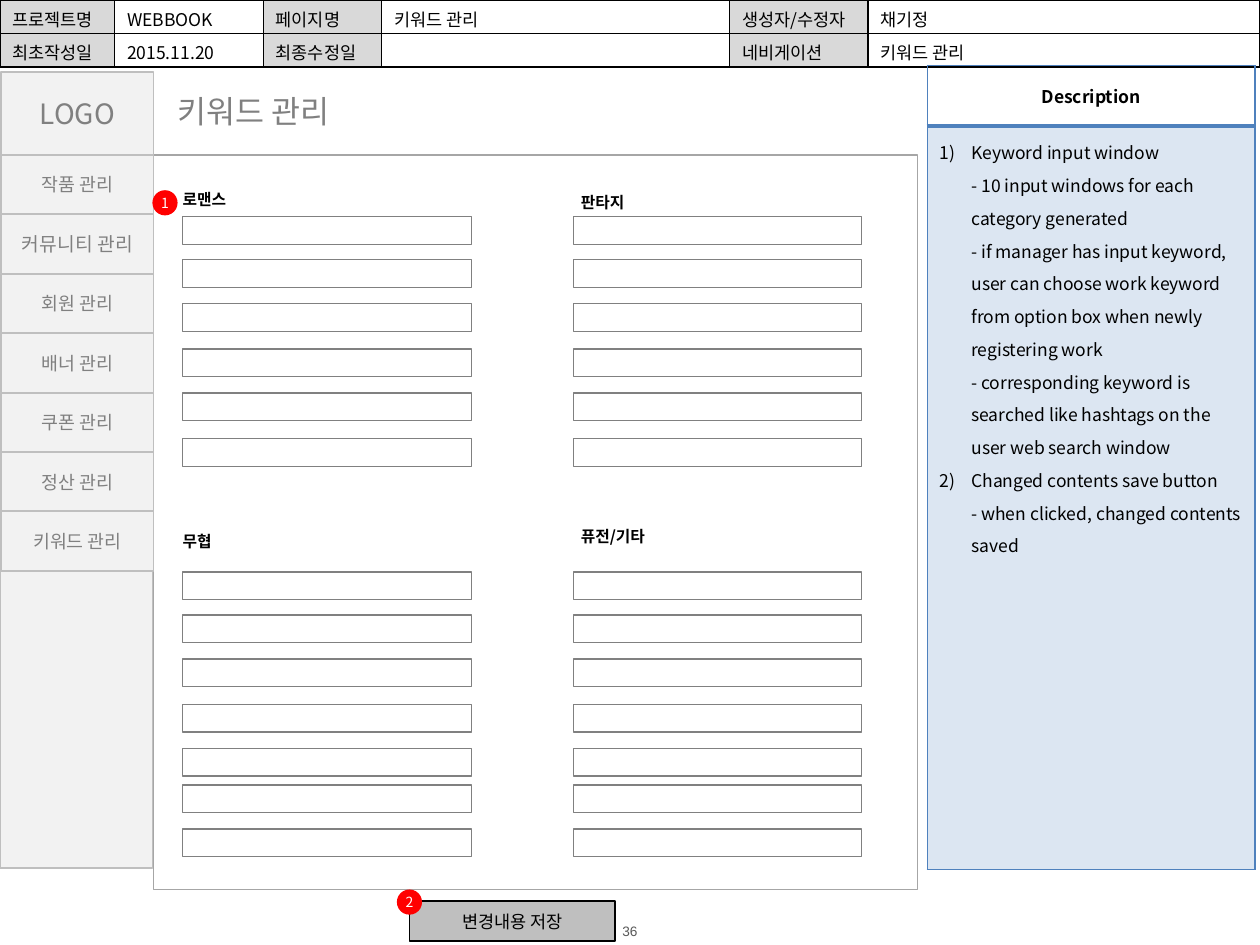
import dataclasses

import lxml.etree
import pptx
import pptx.dml.color
import pptx.enum.shapes
import pptx.enum.text
import pptx.oxml.ns
import pptx.util

Inches = pptx.util.Inches
Pt = pptx.util.Pt
Align = pptx.enum.text.PP_ALIGN
Anchor = pptx.enum.text.MSO_ANCHOR
Kind = pptx.enum.shapes.MSO_SHAPE
qn = pptx.oxml.ns.qn


@dataclasses.dataclass(frozen=True)
class Theme:
    font: str = "Noto Sans CJK KR"
    plain: str = "Arial"
    black: str = "000000"
    white: str = "FFFFFF"
    text: str = "808080"
    page: str = "595959"
    head: str = "D9D9D9"
    menu: str = "F2F2F2"
    edge: str = "BFBFBF"
    frame: str = "A6A6A6"
    blue: str = "4F81BD"
    pale: str = "DCE6F2"
    red: str = "FF0000"
    title: float = 18
    logo: float = 16
    wide: float = 11
    item: float = 10.5
    body: float = 10
    label: float = 9
    badge: float = 8
    foot: float = 7.8


class Sheet:
    """Holds the theme and the current slide, and draws each kind of element."""

    def __init__(self, theme, slide):
        self.theme = theme
        self.slide = slide

    def run(self, para, text, size, color, bold=False, font=None):
        run = para.add_run()
        run.text = text
        run.font.size = Pt(size)
        run.font.bold = bold
        run.font.name = font or self.theme.font
        run.font.color.rgb = pptx.dml.color.RGBColor.from_string(color)
        east = lxml.etree.SubElement(run._r.get_or_add_rPr(), qn("a:ea"))
        east.set("typeface", font or self.theme.font)

    def paint(self, fill, color):
        if color:
            fill.solid()
            fill.fore_color.rgb = pptx.dml.color.RGBColor.from_string(color)
        else:
            fill.background()

    def inset(self, frame, side, top):
        frame.margin_left = frame.margin_right = Inches(side)
        frame.margin_top = frame.margin_bottom = Inches(top)

    def title(self, text, box):
        shape = self.slide.shapes.title
        shape.left, shape.top, shape.width, shape.height = map(Inches, box)
        frame = shape.text_frame
        frame.word_wrap = False
        frame.auto_size = pptx.enum.text.MSO_AUTO_SIZE.NONE
        frame.vertical_anchor = Anchor.TOP
        para = frame.paragraphs[0]
        para.alignment = Align.LEFT
        self.run(para, text, self.theme.title, self.theme.text)

    def note(self, text, box):
        frame = self.slide.shapes.add_textbox(*map(Inches, box)).text_frame
        frame.word_wrap = True
        frame.vertical_anchor = Anchor.MIDDLE
        self.inset(frame, 0, 0)
        para = frame.paragraphs[0]
        para.alignment = Align.CENTER
        self.run(para, text, self.theme.foot, self.theme.page, font=self.theme.plain)

    def shape(self, box, fill=None, line=None, width=1, kind=Kind.RECTANGLE):
        shape = self.slide.shapes.add_shape(kind, *map(Inches, box))
        shape.shadow.inherit = False
        self.paint(shape.fill, fill)
        self.paint(shape.line.fill, line)
        if line:
            shape.line.width = Pt(width)
        return shape

    def letter(self, shape, text, size, color, bold=False, align=Align.CENTER):
        frame = shape.text_frame
        frame.vertical_anchor = Anchor.MIDDLE
        para = frame.paragraphs[0]
        para.alignment = align
        self.run(para, text, size, color, bold)

    def menu(self, text, top, high, size):
        box = self.shape((0.01, top, 1.21, high), self.theme.menu, self.theme.edge)
        self.letter(box, text, size, self.theme.text)

    def label(self, text, left, top, width):
        box = self.shape((left, top, width, 0.23), self.theme.white)
        self.inset(box.text_frame, 0, 0.04)
        self.letter(box, text, self.theme.label, self.theme.black, True, Align.LEFT)

    def badge(self, text, left, top):
        box = self.shape((left, top, 0.2, 0.2), self.theme.red, kind=Kind.OVAL)
        self.inset(box.text_frame, 0, 0)
        self.letter(box, text, self.theme.badge, self.theme.white)

    def table(self, box, rows, widths):
        grid = self.slide.shapes.add_table(rows, len(widths), *map(Inches, box)).table
        grid.first_row = grid.horz_banding = False
        for column, width in zip(grid.columns, widths):
            column.width = Inches(width)
        return grid

    def cell(self, cell, fill, color, base=1):
        self.paint(cell.fill, fill)
        props = cell._tc.get_or_add_tcPr()
        for spot, (side, width) in enumerate(zip("LRTB", (1, 1, 1, base))):
            line = lxml.etree.Element(qn("a:ln" + side), w=str(int(Pt(width))))
            solid = lxml.etree.SubElement(line, qn("a:solidFill"))
            lxml.etree.SubElement(solid, qn("a:srgbClr"), val=color)
            props.insert(spot, line)

    def header(self, rows):
        grid = self.table((0, 0, 10, 0.53), len(rows), (0.91, 1.18, 0.94, 2.76, 1.1, 3.11))
        for y, row in enumerate(rows):
            for x, text in enumerate(row):
                cell = grid.cell(y, x)
                cell.margin_bottom = 0
                self.cell(cell, None if x % 2 else self.theme.head, self.theme.black)
                para = cell.text_frame.paragraphs[0]
                if text:
                    self.run(para, text, self.theme.body, self.theme.black)
                else:
                    lxml.etree.SubElement(para._p, qn("a:endParaRPr"), sz="1000")

    def guide(self, name, items):
        theme = self.theme
        grid = self.table((7.36, 0.52, 2.6, 6.38), 2, (2.6,))
        grid.rows[0].height, grid.rows[1].height = Inches(0.48), Inches(5.9)
        head, body = grid.cell(0, 0), grid.cell(1, 0)
        self.cell(head, None, theme.blue, 2)
        self.cell(body, theme.pale, theme.blue)
        head.vertical_anchor = Anchor.MIDDLE
        para = head.text_frame.paragraphs[0]
        para.alignment = Align.CENTER
        self.run(para, name, theme.body, theme.black, True)
        frame = body.text_frame
        for spot, lines in enumerate(items):
            para = frame.add_paragraph() if spot else frame.paragraphs[0]
            props = para._p.get_or_add_pPr()
            props.set("marL", str(int(Inches(0.25))))
            props.set("indent", str(int(Inches(-0.25))))
            lxml.etree.SubElement(props, qn("a:buAutoNum"), type="arabicParenR")
            para.line_spacing = 1.3
            for order, text in enumerate(lines):
                if order:
                    para.add_line_break()
                    lxml.etree.SubElement(para._p[-1], qn("a:rPr"), sz="1000")
                self.run(para, text, theme.body, theme.black)


def main():
    deck = pptx.Presentation()
    deck.slide_width, deck.slide_height = Inches(10), Inches(7.5)
    theme = Theme()
    sheet = Sheet(theme, deck.slides.add_slide(deck.slide_layouts[5]))

    sheet.note("36", (4.57, 7.32, 0.86, 0.14))
    sheet.header((
        ("프로젝트명", "WEBBOOK", "페이지명", "키워드 관리", "생성자/수정자", "채기정"),
        ("최초작성일", "2015.11.20", "최종수정일", "", "네비게이션", "키워드 관리"),
    ))
    sheet.guide("Description", (
        ("Keyword input window", "- 10 input windows for each category generated",
         "- if manager has input keyword, user can choose work keyword "
         "from option box when newly registering work",
         "- corresponding keyword is searched like hashtags on the user web search window"),
        ("Changed contents save button", "- when clicked, changed contents saved"),
    ))
    sheet.title("키워드 관리", (1.31, 0.68, 1.55, 0.4))
    sheet.shape((1.22, 1.23, 6.06, 5.83), None, theme.frame, 0.75)

    sheet.shape((0, 4.06, 1.21, 2.83), theme.menu, theme.edge)
    sheet.menu("LOGO", 0.57, 0.66, theme.logo)
    names = ("작품", "커뮤니티", "회원", "배너", "쿠폰", "정산", "키워드")
    for spot, name in enumerate(names):
        size = theme.wide if name == "커뮤니티" else theme.item
        sheet.menu(name + " 관리", 1.23 + spot * 2.83 / 6, 0.47, size)

    for label in (("로맨스", 1.45, 1.47, 0.49), ("판타지", 4.61, 1.49, 0.49),
                  ("무협", 1.45, 4.18, 0.49), ("퓨전/기타", 4.61, 4.14, 0.63)):
        sheet.label(*label)
    steps = (0, 0.34, 0.69, 1.05, 1.4)
    for start, extra in ((1.72, (1.76,)), (4.54, (1.69, 2.04))):
        for left in (1.45, 4.55):
            for step in steps + extra:
                sheet.shape((left, start + step, 2.29, 0.22), theme.white, theme.text, 0.75)

    save = sheet.shape((3.25, 7.15, 1.63, 0.32), theme.edge, theme.black)
    sheet.letter(save, "변경내용 저장", theme.body, theme.black)
    sheet.badge("1", 1.21, 1.51)
    sheet.badge("2", 3.15, 7.06)
    deck.save("out.pptx")


if __name__ == "__main__":
    main()
